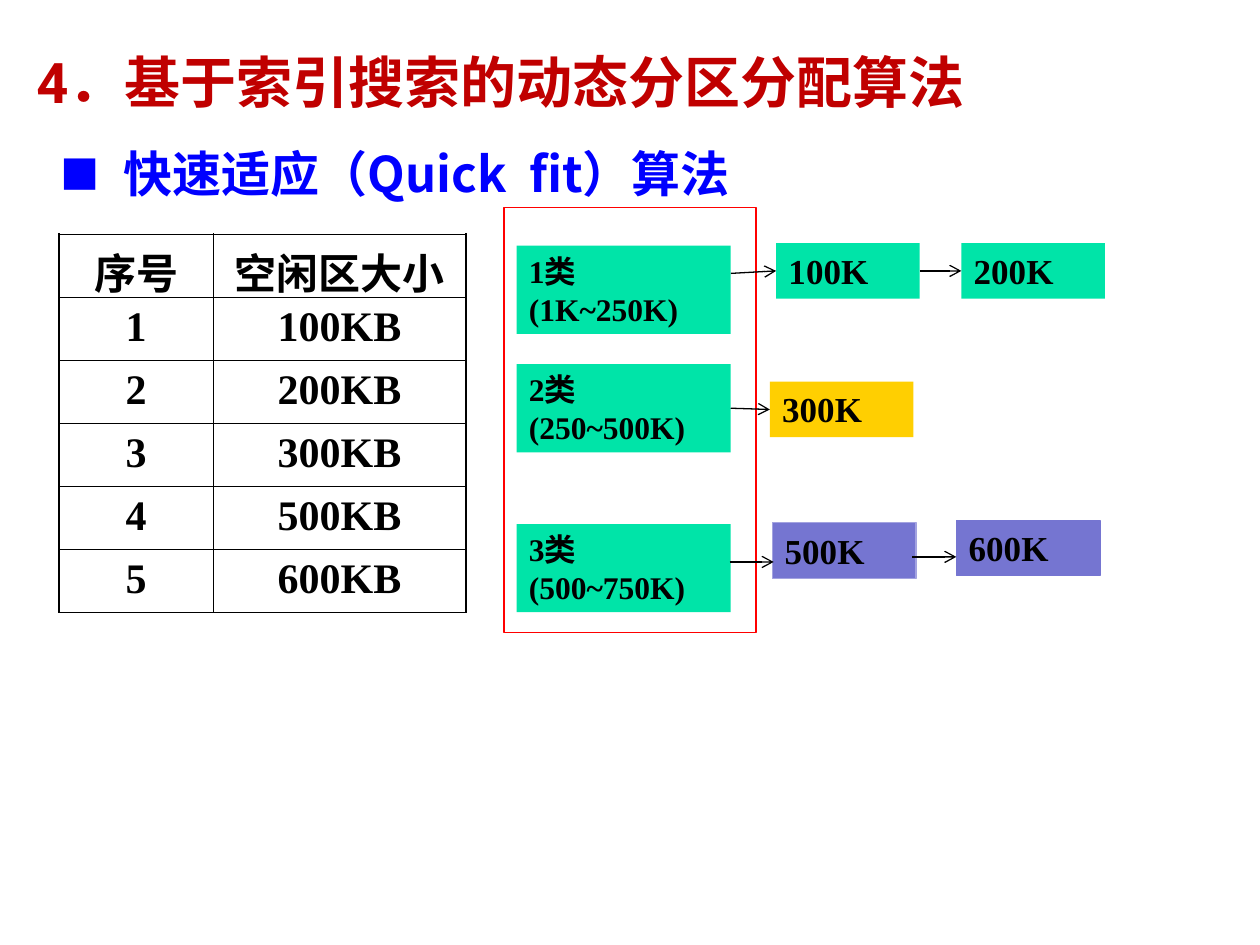
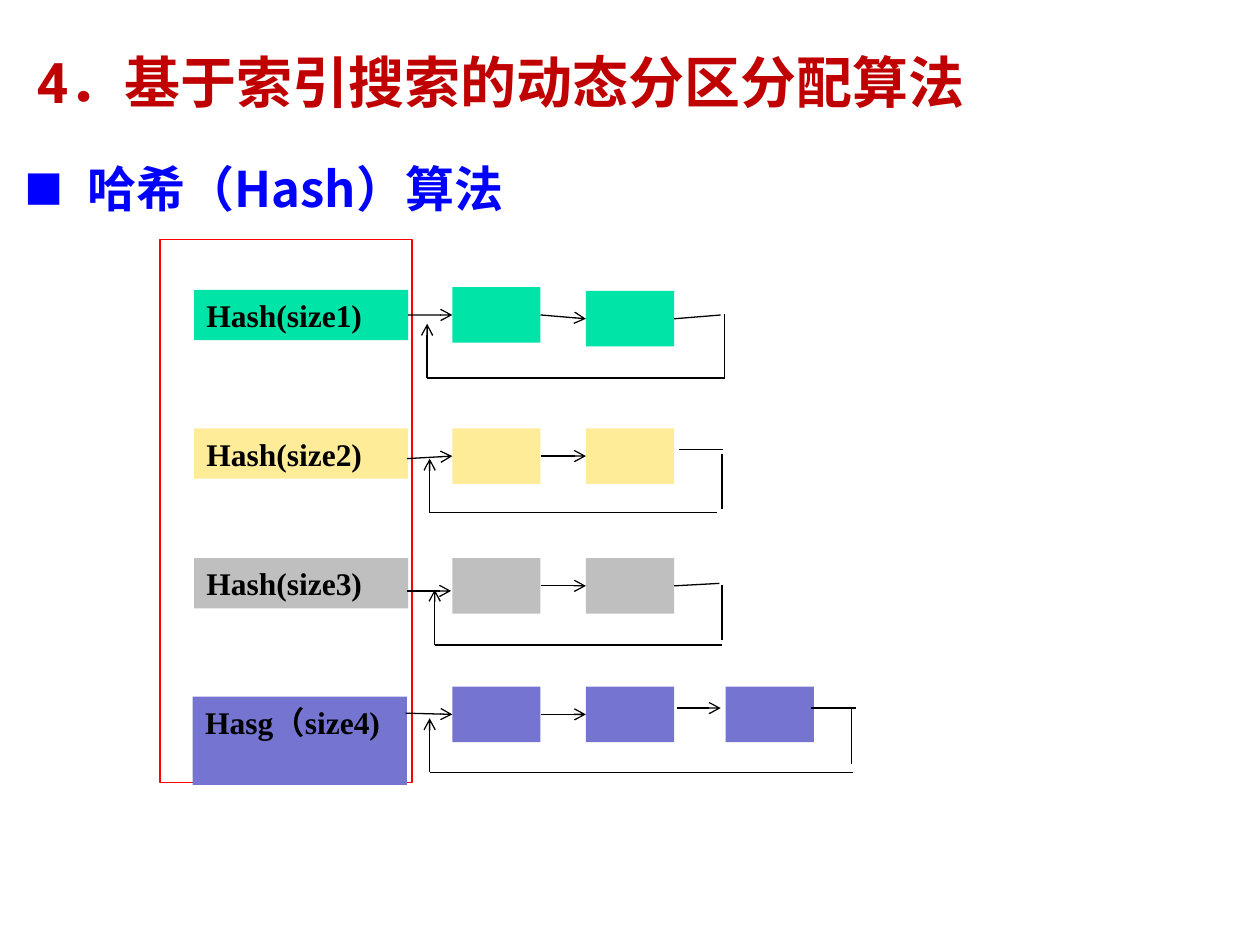
from dataclasses import dataclass
from math import hypot

from lxml import etree
from pptx import Presentation
from pptx.dml.color import RGBColor
from pptx.enum.shapes import MSO_CONNECTOR, MSO_SHAPE
from pptx.enum.text import MSO_ANCHOR, PP_ALIGN
from pptx.oxml.ns import qn
from pptx.util import Inches, Pt

RECTANGLE = MSO_SHAPE.RECTANGLE
STRAIGHT = MSO_CONNECTOR.STRAIGHT
TOP = MSO_ANCHOR.TOP
LEFT = PP_ALIGN.LEFT
CENTER = PP_ALIGN.CENTER

BLACK, RED, TITLE_RED, BLUE = "000000", "FF0000", "C00000", "0000FF"
GREEN, GOLD, PALE_GOLD, GREY = "00E4A8", "FFCF01", "FFEC99", "BFBFBF"
PURPLE, PALE_PURPLE = "7575D1", "A3A3E0"
TITLE_FONT, SUBTITLE_FONT, BODY_FONT = "Roboto", "Noto Sans CJK SC", "Times New Roman"
TITLE = "4．基于索引搜索的动态分区分配算法"

ARROW_LENGTH = 0.35
BLOCK_HEIGHT = 0.44
JOIN_DISTANCE = 0.04
THIN, THICK = 0.45, 1.08

FREE_AREAS = [
    ("序号", "空闲区大小"),
    ("1", "100KB"),
    ("2", "200KB"),
    ("3", "300KB"),
    ("4", "500KB"),
    ("5", "600KB"),
]


@dataclass
class Box:
    left: float
    top: float
    width: float
    height: float
    fill: str | None
    text: str = ""
    size: int = 18
    outline: str | None = None

    def sites(self) -> list[tuple[float, float]]:
        middle_x, middle_y = self.left + self.width / 2, self.top + self.height / 2
        return [
            (middle_x, self.top),
            (self.left, middle_y),
            (middle_x, self.top + self.height),
            (self.left + self.width, middle_y),
        ]


@dataclass
class Line:
    x1: float
    y1: float
    x2: float
    y2: float
    arrow: bool = False


@dataclass
class Loop:
    exit_left: float
    exit_y: float
    drop_x: float
    drop_top: float
    drop_bottom: float
    return_right: float
    return_y: float
    rise_x: float
    rise_top: float

    def lines(self) -> list[Line]:
        return [
            Line(self.exit_left, self.exit_y, self.exit_left + ARROW_LENGTH, self.exit_y),
            Line(self.drop_x, self.drop_top, self.drop_x, self.drop_bottom),
            Line(self.return_right, self.return_y, self.rise_x, self.return_y),
            Line(self.rise_x, self.return_y, self.rise_x, self.rise_top, arrow=True),
        ]


@dataclass
class HashRow:
    label: Box
    blocks: list[tuple[float, float]]
    arrows: list[tuple[float, float]]
    loop: Loop


def color(value: str) -> RGBColor:
    return RGBColor.from_string(value)


def arrow_line(left: float, y: float) -> Line:
    return Line(left, y, left + ARROW_LENGTH, y, arrow=True)


def write(text_frame, text: str, *, size: float, font: str = BODY_FONT, fill: str = BLACK,
          align=LEFT, spacing: float | None = None, bullet: str | None = None) -> None:
    text_frame.word_wrap = True
    text_frame.vertical_anchor = TOP
    paragraph = text_frame.paragraphs[0]
    paragraph.alignment = align
    if spacing:
        paragraph.line_spacing = spacing
    if bullet:
        paragraph.level = 1
        properties = paragraph._p.get_or_add_pPr()
        properties.set("marL", str(Inches(1)))
        properties.set("indent", str(Inches(-0.5)))
        bullet_color = etree.SubElement(properties, qn("a:buClr"))
        etree.SubElement(bullet_color, qn("a:srgbClr"), val=fill)
        etree.SubElement(properties, qn("a:buSzPct"), val="80000")
        etree.SubElement(properties, qn("a:buFont"), typeface=font)
        etree.SubElement(properties, qn("a:buChar"), char=bullet)
    run = paragraph.add_run()
    run.text = text
    run.font.size = Pt(size)
    run.font.name = font
    run.font.bold = True
    run.font.color.rgb = color(fill)


def add_text(slide, left: float, top: float, width: float, height: float,
             text: str, **text_format) -> None:
    shape = slide.shapes.add_textbox(Inches(left), Inches(top), Inches(width), Inches(height))
    write(shape.text_frame, text, **text_format)


def add_box(slide, box: Box):
    shape = slide.shapes.add_shape(RECTANGLE, Inches(box.left), Inches(box.top),
                                   Inches(box.width), Inches(box.height))
    shape.shadow.inherit = False
    if box.fill:
        shape.fill.solid()
        shape.fill.fore_color.rgb = color(box.fill)
    else:
        shape.fill.background()
    if box.outline:
        shape.line.color.rgb = color(box.outline)
        shape.line.width = Pt(0.75)
    else:
        shape.line.fill.background()
    if box.text:
        write(shape.text_frame, box.text, size=box.size)
    return shape


def add_line(slide, line: Line, placed: list) -> None:
    connector = slide.shapes.add_connector(STRAIGHT, Inches(line.x1), Inches(line.y1),
                                           Inches(line.x2), Inches(line.y2))
    connector.line.color.rgb = color(BLACK)
    connector.line.width = Pt(0.75)
    if line.arrow:
        etree.SubElement(connector.line._get_or_add_ln(), qn("a:tailEnd"), type="arrow")
    etree.SubElement(connector._element.spPr, qn("a:effectLst"))
    for box, shape in placed:
        for site, (x, y) in enumerate(box.sites()):
            if hypot(x - line.x1, y - line.y1) <= JOIN_DISTANCE:
                connector.begin_connect(shape, site)
            if hypot(x - line.x2, y - line.y2) <= JOIN_DISTANCE:
                connector.end_connect(shape, site)


def add_diagram(slide, frame: Box, boxes: list[Box], lines: list[Line]) -> None:
    add_box(slide, frame)
    placed = [(box, add_box(slide, box)) for box in boxes]
    for line in lines:
        add_line(slide, line, placed)


def add_border(cell, side: str, width: float) -> None:
    border = etree.SubElement(cell._tc.get_or_add_tcPr(), qn(f"a:{side}"), w=str(Pt(width)))
    fill = etree.SubElement(border, qn("a:solidFill"))
    etree.SubElement(fill, qn("a:srgbClr"), val=BLACK)


def add_free_area_table(slide) -> None:
    row_count, column_count = len(FREE_AREAS), len(FREE_AREAS[0])
    table = slide.shapes.add_table(row_count, column_count, Inches(0.47), Inches(1.86),
                                   Inches(3.23), Inches(3)).table
    table.first_row = table.horz_banding = False
    for column, width in zip(table.columns, (1.22, 2.01)):
        column.width = Inches(width)
    for row_index, values in enumerate(FREE_AREAS):
        table.rows[row_index].height = Inches(0.5)
        for column_index, value in enumerate(values):
            cell = table.cell(row_index, column_index)
            write(cell.text_frame, value, size=24, align=CENTER)
            cell.vertical_anchor = TOP
            cell.margin_top, cell.margin_bottom = Inches(0.05), Inches(0)
            outer_sides = {
                "lnL": column_index == 0,
                "lnR": column_index == column_count - 1,
                "lnT": row_index == 0,
                "lnB": row_index == row_count - 1,
            }
            for side, is_outer in outer_sides.items():
                add_border(cell, side, THICK if is_outer else THIN)
            cell.fill.background()


def start_slide(presentation, subtitle: str, left: float, top: float, height: float):
    slide = presentation.slides.add_slide(presentation.slide_layouts[6])
    add_text(slide, 0.19, 0.33, 8.4, 0.64, TITLE, size=32, font=TITLE_FONT, fill=TITLE_RED)
    add_text(slide, left, top, 10.23, height, subtitle, size=28, font=SUBTITLE_FONT,
             fill=BLUE, spacing=1.25, bullet="■")
    return slide


def build_quick_fit(presentation) -> None:
    slide = start_slide(presentation, "快速适应（Quick  fit）算法", -0.12, 0.97, 0.69)
    add_free_area_table(slide)
    classes = [("1类(1K~250K)", 1.95), ("2类(250~500K)", 2.89), ("3类(500~750K)", 4.16)]
    free_blocks = [
        ("100K", 6.16, 1.93, GREEN, None),
        ("200K", 7.63, 1.93, GREEN, None),
        ("300K", 6.11, 3.03, GOLD, None),
        ("500K", 6.13, 4.15, PURPLE, PALE_PURPLE),
        ("600K", 7.59, 4.13, PURPLE, PURPLE),
    ]
    boxes = [Box(4.1, top, 1.7, 0.7, GREEN, text) for text, top in classes]
    boxes += [Box(left, top, 1.14, BLOCK_HEIGHT, fill, text, 20, outline)
              for text, left, top, fill, outline in free_blocks]
    arrows = [(5.8, 2.17), (7.29, 2.17), (5.8, 3.25), (5.79, 4.46), (7.24, 4.42)]
    add_diagram(slide, Box(4, 1.65, 2, 3.37, None, outline=RED), boxes,
                [arrow_line(left, y) for left, y in arrows])


def build_hash(presentation) -> None:
    slide = start_slide(presentation, "哈希（Hash）算法", -0.4, 1.09, 1.27)
    rows = [
        HashRow(Box(1.54, 2.3, 1.7, 0.4, GREEN, "Hash(size1)"),
                [(3.59, 2.28), (4.65, 2.31)], [(3.24, 2.52), (4.3, 2.52)],
                Loop(5.37, 2.5, 5.75, 2.49, 3, 5.75, 3, 3.39, 2.57)),
        HashRow(Box(1.54, 3.4, 1.7, 0.4, PALE_GOLD, "Hash(size2)"),
                [(3.59, 3.4), (4.65, 3.4)], [(3.23, 3.64), (4.32, 3.6)],
                Loop(5.39, 3.57, 5.73, 3.6, 4.04, 5.69, 4.07, 3.41, 3.64)),
        HashRow(Box(1.54, 4.43, 1.7, 0.4, GREY, "Hash(size3)"),
                [(3.59, 4.43), (4.65, 4.43)], [(3.23, 4.69), (4.32, 4.65)],
                Loop(5.36, 4.63, 5.73, 4.64, 5.08, 5.73, 5.12, 3.45, 4.68)),
        HashRow(Box(1.53, 5.53, 1.7, 0.7, PURPLE, "Hasg（size4)"),
                [(3.59, 5.45), (4.65, 5.45), (5.76, 5.45)],
                [(3.22, 5.66), (4.32, 5.66), (5.37, 5.62)],
                Loop(6.44, 5.62, 6.76, 5.62, 6.06, 6.77, 6.13, 3.41, 5.7)),
    ]
    boxes, lines = [], []
    for row in rows:
        boxes.append(row.label)
        boxes += [Box(left, top, 0.7, BLOCK_HEIGHT, row.label.fill) for left, top in row.blocks]
        lines += [arrow_line(left, y) for left, y in row.arrows]
        lines += row.loop.lines()
    add_diagram(slide, Box(1.27, 1.9, 2, 4.31, None, outline=RED), boxes, lines)


def main() -> None:
    presentation = Presentation()
    presentation.slide_width, presentation.slide_height = Inches(10), Inches(7.5)
    build_quick_fit(presentation)
    build_hash(presentation)
    presentation.save("out.pptx")


if __name__ == "__main__":
    main()
